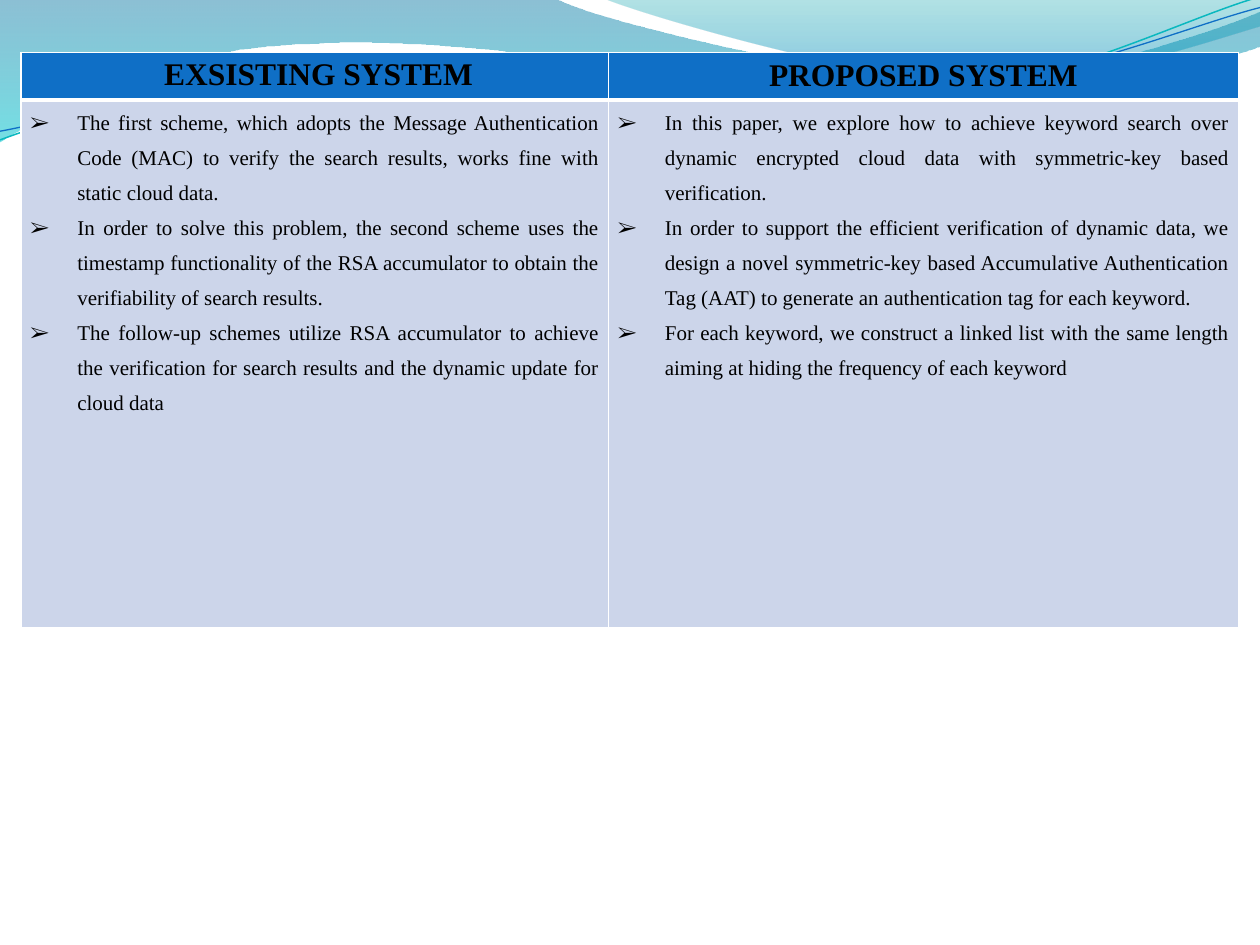
from dataclasses import dataclass

from lxml import etree
from pptx import Presentation
from pptx.dml.color import RGBColor
from pptx.enum.text import PP_ALIGN
from pptx.oxml.ns import qn
from pptx.util import Pt

CENTER, JUSTIFY = PP_ALIGN.CENTER, PP_ALIGN.JUSTIFY
FONT = "Times New Roman"
BLACK, WHITE, BLUE, PALE = "000000", "FFFFFF", "0F6FC6", "CCD5EA"

Point = tuple[float, float]


@dataclass
class Stop:
    position: float
    color: str
    opacity: int


@dataclass
class Wave:
    """A segment of one point is straight; one of three points is a Bezier curve."""
    start: Point
    segments: list[list[Point]]
    stops: tuple[Stop, Stop] | None = None
    line_color: str = ""
    line_width: float = 0
    rotation: float = 0


@dataclass
class Column:
    heading: str
    width: float
    heading_spacing: float
    side_inset: float
    end_inset: float
    points: list[str]


WAVES = [
    Wave((-1, -0.5), [
        [(317, -1)],
        [(343, 12), (478, 45), (546, 45)],
        [(614, 45), (690, 19), (720, 6.5)],
        [(720.7, 26)],
        [(708, 32), (626, 55), (537, 54)],
        [(448, 54), (275, 20), (185, 24.5)],
        [(93, 26), (33, 60), (-1, 81.4)],
    ], stops=(Stop(0, "0074A1", 45), Stop(1, "00C6CF", 55))),
    Wave((345, -1), [
        [(366, 8), (491, 45), (554, 47)],
        [(616, 50), (692, 23), (720, 15)],
        [(720, -0.5)],
    ], stops=(Stop(0, "00A1A9", 30), Stop(0.8, "008BBF", 45))),
    Wave((-1.4, 63), [
        [(34.2, 51.7), (114.3, 29.4), (199.4, 29.9)],
        [(284.4, 30.5), (425.8, 67.2), (512, 64.7)],
        [(599.2, 62.3), (676.1, 25.9), (720.6, 15.4)],
    ], line_color="0AB8BF", line_width=0.85, rotation=357.3),
    Wave((-1.1, 58), [
        [(33.2, 53.6), (118.2, 32.6), (204.3, 32.7)],
        [(290.3, 33.7), (429.1, 63.8), (515.3, 61.3)],
        [(601.5, 59.4), (679, 30), (721.4, 21.3)],
    ], line_color=BLUE, line_width=0.75, rotation=357.3),
]

COLUMNS = [
    Column(" EXSISTING SYSTEM", 335.75, 1.15, 8.64, 0, [
        "The first scheme, which adopts the Message Authentication Code (MAC) "
        "to verify the search results, works fine with static cloud data. ",
        "In order to solve this problem, the second scheme uses the timestamp functionality "
        "of the RSA accumulator to obtain the verifiability of search results. ",
        "The follow-up schemes utilize RSA accumulator to achieve the verification "
        "for search results and the dynamic update for cloud data",
    ]),
    Column("PROPOSED SYSTEM", 360, 1, 7.2, 3.6, [
        "In this paper, we explore how to achieve keyword search over dynamic encrypted "
        "cloud data with symmetric-key based verification.",
        "In order to support the efficient verification of dynamic data, we design a novel "
        "symmetric-key based Accumulative Authentication Tag (AAT) to generate "
        "an authentication tag for each keyword. ",
        "For each keyword, we construct a linked list with the same length "
        "aiming at hiding the frequency of each keyword",
    ]),
]


def rgb(color: str) -> RGBColor:
    return RGBColor.from_string(color)


def bend_segments(shape, segments: list[list[Point]]) -> None:
    """Join the straight steps of each three-point segment into one Bezier curve."""
    steps = iter(list(shape._element.iter(qn("a:lnTo"))))
    for segment in segments:
        first, *others = [next(steps) for _ in segment]
        if others:
            first.tag = qn("a:cubicBezTo")
        for step in others:
            first.append(step[0])
            step.getparent().remove(step)


def fill_gradient(shape, stops: tuple[Stop, Stop]) -> None:
    shape.fill.gradient()
    shape.fill.gradient_angle = 270
    for target, stop in zip(shape.fill.gradient_stops, stops):
        target.position = stop.position
        target.color.rgb = rgb(stop.color)
    for color, stop in zip(shape._element.spPr.iter(qn("a:srgbClr")), stops):
        etree.SubElement(color, qn("a:alpha"), val=str(stop.opacity * 1000))


def draw_wave(slide, wave: Wave) -> None:
    corners = [(Pt(x), Pt(y)) for segment in wave.segments for x, y in segment]
    x, y = wave.start
    builder = slide.shapes.build_freeform(Pt(x), Pt(y))
    builder.add_line_segments(corners, close=False)
    shape = builder.convert_to_shape()
    bend_segments(shape, wave.segments)
    shape.rotation = wave.rotation
    shape.shadow.inherit = False
    if wave.stops:
        etree.SubElement(next(shape._element.iter(qn("a:path"))), qn("a:close"))
        shape.line.fill.background()
        fill_gradient(shape, wave.stops)
    else:
        shape.fill.background()
        shape.line.color.rgb = rgb(wave.line_color)
        shape.line.width = Pt(wave.line_width)


def style_cell(cell, fill: str, side_inset: float, end_inset: float, bottom_border: float) -> None:
    cell.margin_left = cell.margin_right = Pt(side_inset)
    cell.margin_top = cell.margin_bottom = Pt(end_inset)
    properties = cell._tc.get_or_add_tcPr()
    borders = {"a:lnL": 1, "a:lnR": 1, "a:lnT": 1, "a:lnB": bottom_border}
    for tag, width in borders.items():
        line = etree.SubElement(properties, qn(tag), w=str(Pt(width)))
        solid = etree.SubElement(line, qn("a:solidFill"))
        etree.SubElement(solid, qn("a:srgbClr"), val=WHITE)
    cell.fill.solid()
    cell.fill.fore_color.rgb = rgb(fill)


def style_paragraph(paragraph, size: float, bold: bool, align: PP_ALIGN, spacing: float) -> None:
    paragraph.alignment = align
    paragraph.line_spacing = spacing
    paragraph.font.name = FONT
    paragraph.font.size = Pt(size)
    paragraph.font.bold = bold
    paragraph.font.color.rgb = rgb(BLACK)


def add_bullet(paragraph, indent: float) -> None:
    properties = paragraph._p.get_or_add_pPr()
    properties.set("marL", str(Pt(indent)))
    properties.set("indent", str(-Pt(indent)))
    etree.SubElement(properties, qn("a:buFont"), typeface=FONT)
    etree.SubElement(properties, qn("a:buChar"), char="➢")


def fill_column(heading_cell, body_cell, column: Column) -> None:
    style_cell(heading_cell, BLUE, column.side_inset, column.end_inset, 3)
    heading = heading_cell.text_frame.paragraphs[0]
    heading.text = column.heading
    style_paragraph(heading, 18, True, CENTER, column.heading_spacing)

    style_cell(body_cell, PALE, 5.2, 0, 1)
    frame = body_cell.text_frame
    for index, point in enumerate(column.points):
        paragraph = frame.add_paragraph() if index else frame.paragraphs[0]
        paragraph.text = point
        add_bullet(paragraph, 27)
        style_paragraph(paragraph, 12, False, JUSTIFY, 1.5)


def add_comparison(slide, columns: list[Column]) -> None:
    heights = (22.3, 301.7)
    total_width = sum(column.width for column in columns)
    table = slide.shapes.add_table(
        2, len(columns), Pt(12), Pt(30), Pt(total_width), Pt(330.5)).table
    table.horz_banding = False
    for row, height in zip(table.rows, heights):
        row.height = Pt(height)
    for index, column in enumerate(columns):
        table.columns[index].width = Pt(column.width)
        fill_column(table.cell(0, index), table.cell(1, index), column)


def main() -> None:
    deck = Presentation()
    deck.slide_width, deck.slide_height = Pt(720), Pt(540)
    slide = deck.slides.add_slide(deck.slide_layouts[6])
    for wave in WAVES:
        draw_wave(slide, wave)
    add_comparison(slide, COLUMNS)
    deck.save("out.pptx")


if __name__ == "__main__":
    main()
